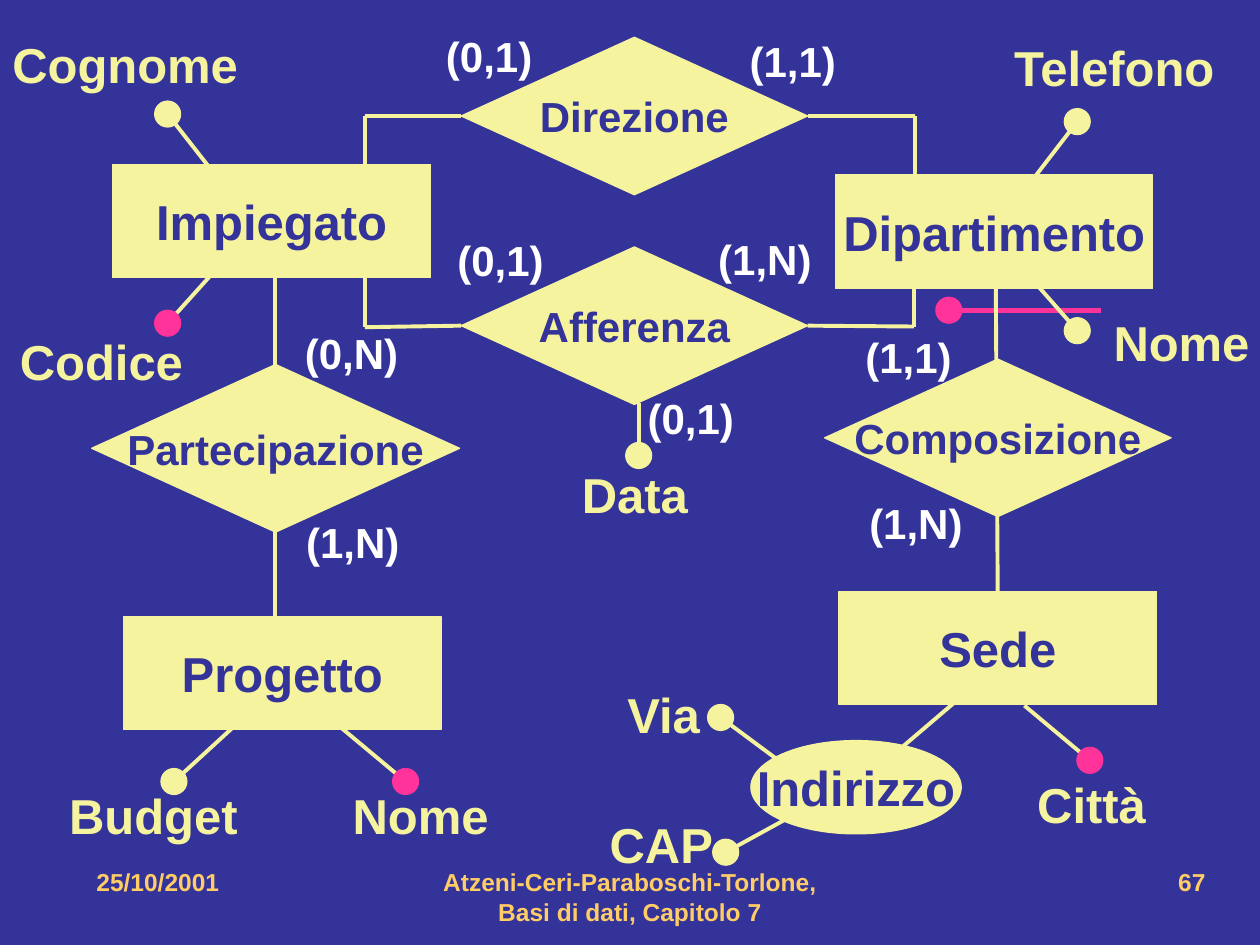
from pptx import Presentation
from pptx.dml.color import RGBColor
from pptx.enum.shapes import MSO_CONNECTOR, MSO_SHAPE
from pptx.enum.text import MSO_ANCHOR, MSO_AUTO_SIZE, PP_ALIGN
from pptx.oxml.ns import qn
from pptx.util import Pt
from lxml import etree

BLUE = RGBColor(0x33, 0x33, 0x99)
CREAM = RGBColor(0xF5, 0xF3, 0x9D)
PINK = RGBColor(0xFF, 0x33, 0x99)
WHITE = RGBColor(0xFF, 0xFF, 0xFF)
GOLD = RGBColor(0xFF, 0xCC, 0x66)
RECT, RHOMB, OVAL = MSO_SHAPE.RECTANGLE, MSO_SHAPE.DIAMOND, MSO_SHAPE.OVAL
LEFT, MID, RIGHT = PP_ALIGN.LEFT, PP_ALIGN.CENTER, PP_ALIGN.RIGHT

deck = Presentation()
deck.slide_width, deck.slide_height = Pt(720), Pt(540)
slide = deck.slides.add_slide(deck.slide_layouts[6])
slide.background.fill.solid()
slide.background.fill.fore_color.rgb = BLUE
shapes = slide.shapes


def write(shape, text, size, color, align, anchor, wrap=False):
    frame = shape.text_frame
    frame.word_wrap = wrap
    frame.vertical_anchor = anchor
    para = frame.paragraphs[0]
    para.text = text
    para.alignment = align
    font = para.font
    font.name, font.size, font.bold = "Arial", Pt(size), True
    font.color.rgb = color


def link(x1, y1, x2, y2, color=CREAM, width=2.25):
    line = shapes.add_connector(MSO_CONNECTOR.STRAIGHT, Pt(x1), Pt(y1), Pt(x2), Pt(y2))
    line.line.color.rgb = color
    line.line.width = Pt(width)
    etree.SubElement(line._element.spPr, qn("a:effectLst"))
    return line


link(545, 177.3, 629.3, 177.3, PINK, 3)
link(569, 158.4, 570.2, 349.2)
link(157.3, 154, 157.3, 370)
link(545, 401.8, 511.2, 430.6)

nodes = {}
for name, kind, x, y, w, h, size in [
    ("Impiegato", RECT, 64.5, 94, 181.4, 64.8, 28),
    ("Dipartimento", RECT, 477.4, 100, 181.4, 64.8, 28),
    ("Sede", RECT, 479.5, 338, 181.4, 64.8, 28),
    ("Progetto", RECT, 70.6, 352.3, 181.4, 64.8, 28),
    ("Direzione", RHOMB, 263.5, 21.3, 198, 90, 24),
    ("Afferenza", RHOMB, 263.5, 141.1, 198, 90, 24),
    ("Composizione", RHOMB, 471.2, 205.2, 198, 90, 24),
    ("Partecipazione", RHOMB, 52.4, 208.3, 210.2, 95.8, 24),
    ("Indirizzo", OVAL, 429.1, 423.2, 120.2, 53.3, 28),
]:
    node = shapes.add_shape(kind, Pt(x), Pt(y), Pt(w), Pt(h))
    node.shadow.inherit = False
    node.fill.solid()
    node.fill.fore_color.rgb = CREAM
    node.line.color.rgb = CREAM
    node.line.width = Pt(0.75)
    write(node, name, size, BLUE, MID, MSO_ANCHOR.MIDDLE)
    nodes[name] = node

for name, side, x, start, bend in [
    ("Direzione", 1, 208.8, 94.3, 66.3),
    ("Direzione", 3, 522.6, 100.1, 66.3),
    ("Afferenza", 1, 208.5, 159.1, 187),
    ("Afferenza", 3, 522.2, 164.9, 186.6),
]:
    link(x, start, x, bend)
    link(x, bend, x, bend).end_connect(nodes[name], side)

for name, x, y, w, fx, fy, dx, dy, color in [
    ("Cognome", 0, 16, 143.3, 131, 110.2, 95.8, 65.2, CREAM),
    ("Codice", 4.3, 186, 108.5, 125.3, 151.9, 95.8, 184.7, PINK),
    ("Telefono", 572.4, 18, 131, 581, 114.5, 615.6, 69.5, CREAM),
    ("Nome", 629.2, 175, 92.5, 586.8, 156.2, 615.6, 189, CREAM),
    ("Data", 325.4, 261.7, 75.5, 365, 230.4, 365, 260.3, CREAM),
    ("Budget", 32.4, 445.3, 111.5, 140.4, 409, 99.4, 446.6, CREAM),
    ("Nome", 194.4, 445.3, 92.5, 194.4, 415.4, 231.8, 446.6, PINK),
    ("Città", 585.6, 439.2, 77, 585.4, 403.2, 622.8, 434.5, PINK),
    ("Via", 351.4, 387.4, 57, 449.3, 437.8, 411.8, 410, CREAM),
    ("CAP", 341.3, 462.2, 74, 449.3, 468, 414.7, 487, CREAM),
    ("", 0, 0, 0, 0, 0, 542.2, 177.3, PINK),
]:
    if name:
        link(fx, fy, dx, dy)
        label = shapes.add_textbox(Pt(x), Pt(y), Pt(w), Pt(41))
        write(label, name, 28, CREAM, LEFT, MSO_ANCHOR.TOP)
        label.text_frame.auto_size = MSO_AUTO_SIZE.SHAPE_TO_FIT_TEXT
    dot = shapes.add_shape(OVAL, Pt(dx - 7.4), Pt(dy - 7.4), Pt(14.8), Pt(14.8))
    dot.shadow.inherit = False
    dot.fill.solid()
    dot.fill.fore_color.rgb = color
    dot.line.color.rgb = color
    dot.line.width = Pt(0.75)

for text, x, y in [
    ("(0,1)", 247, 13.7),
    ("(1,1)", 420.5, 16.6),
    ("(0,1)", 253.5, 130.3),
    ("(1,N)", 403, 129.6),
    ("(0,1)", 362.2, 221),
    ("(1,1)", 486.7, 185.8),
    ("(1,N)", 489.3, 280.8),
    ("(0,N)", 166.8, 183.6),
    ("(1,N)", 167.5, 291.8),
]:
    width = 68.2 if "N" in text else 65
    card = shapes.add_textbox(Pt(x), Pt(y), Pt(width), Pt(36))
    write(card, text, 24, WHITE, MID, MSO_ANCHOR.MIDDLE)
    card.text_frame.auto_size = MSO_AUTO_SIZE.SHAPE_TO_FIT_TEXT

for text, x, w, align in [
    ("25/10/2001", 48, 156, LEFT),
    ("Atzeni-Ceri-Paraboschi-Torlone, Basi di dati, Capitolo 7", 246, 228, MID),
    ("67", 516, 180, RIGHT),
]:
    foot = shapes.add_textbox(Pt(x), Pt(492), Pt(w), Pt(36))
    write(foot, text, 14, GOLD, align, MSO_ANCHOR.TOP, True)

deck.save("out.pptx")
